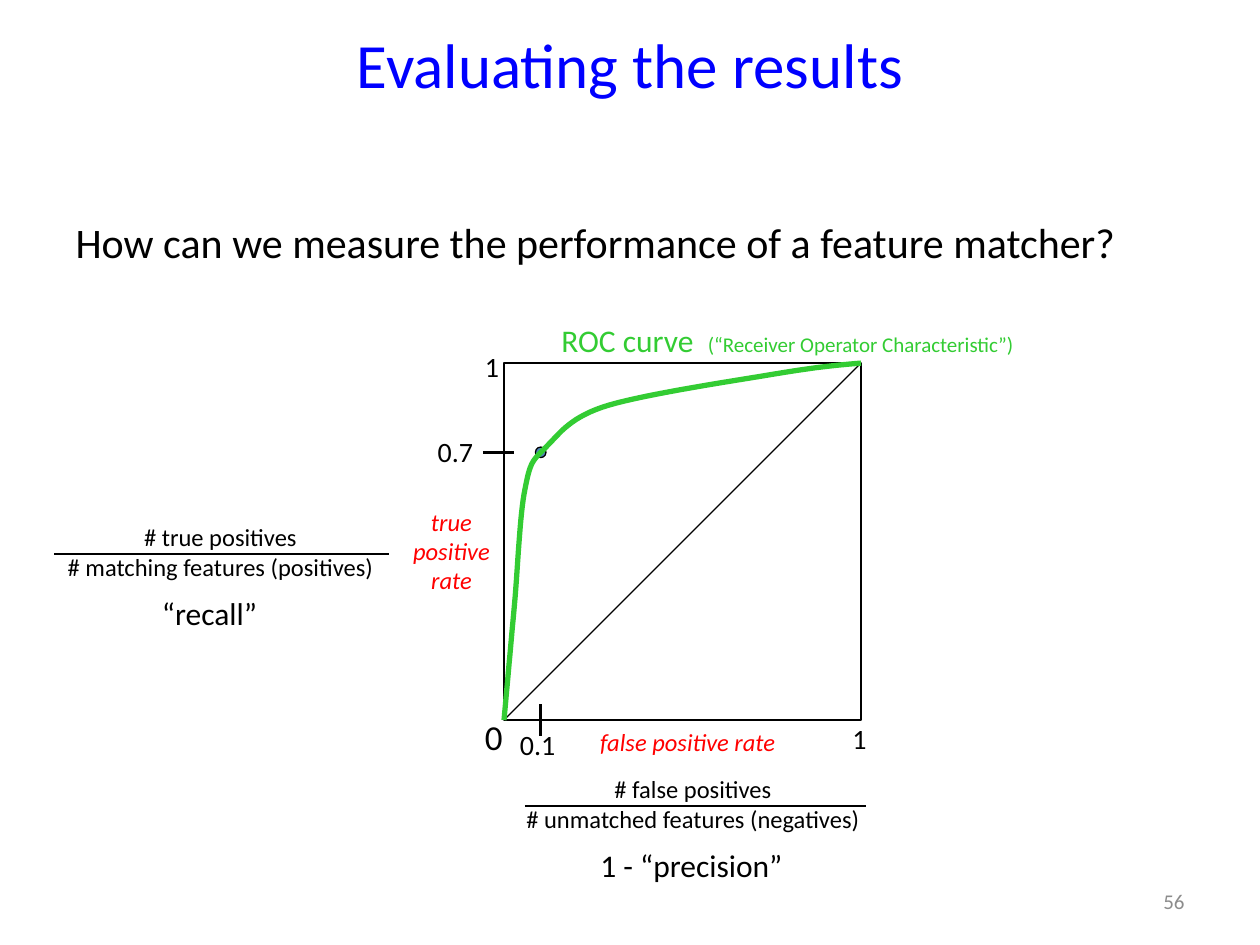
"""Build a slide that explains the ROC curve of a feature matcher."""
import pptx
import pptx.dml.color
import pptx.enum.shapes
import pptx.enum.text
import pptx.util
from pptx.oxml.xmlchemy import OxmlElement

Pt = pptx.util.Pt
ALIGN = pptx.enum.text.PP_ALIGN
ANCHOR = pptx.enum.text.MSO_ANCHOR
SHAPE = pptx.enum.shapes.MSO_SHAPE

COLORS = {"black": "000000", "title": "0000FF", "rate": "FF0000",
          "curve": "33CC33", "point": "4F81BD", "number": "8C8C8C"}
FONT = "Calibri"

TITLE = "Evaluating the results"
QUESTION = "How can we measure the performance of a feature matcher?"
PLOT_LEFT, PLOT_TOP, PLOT_SIDE = 288, 207.5, 204
PLOT_RIGHT, PLOT_BOTTOM = PLOT_LEFT + PLOT_SIDE, PLOT_TOP + PLOT_SIDE
POINT_X, POINT_Y, POINT_SIZE, TICK = 309, 258.5, 6, 18

CURVE_START = (PLOT_LEFT, PLOT_BOTTOM)
CURVE_SEGMENTS = [
    ((290, 390), (292, 367), (294, 345.5)),
    ((296, 323), (297, 294), (300, 279.5)),
    ((303, 264), (304, 263.5), (312, 255.5)),
    ((320, 247.5), (326, 238), (348, 231.5)),
    ((370, 225), (420, 217.5), (444, 213.5)),
    ((468, 209.5), (480, 208.5), (PLOT_RIGHT, PLOT_TOP)),
]
STEPS = 16

RATE = {"size": 14, "color": "rate", "italic": True, "align": ALIGN.CENTER}
LABELS = [
    (["0.7"], (243, 245, 60, 26.5), {"size": 16}),
    (["0"], (270, 405.5, 36, 31), {"size": 20}),
    (["1"], (480, 409, 24, 26.5), {"size": 16}),
    (["1"], (270, 196, 24, 26.5), {"size": 16}),
    (["0.1"], (290, 412, 60, 26.5), {"size": 16}),
    (["false positive rate"], (258, 412, 270, 24), RATE),
    (["true", "positive", "rate"], (210, 286, 96, 75), RATE),
    ([[("ROC curve  ", 18), ("(“Receiver Operator Characteristic”)", 12)]],
     (222, 180, 456, 36), {"color": "curve", "align": ALIGN.CENTER}),
    (["“recall”"], (85.5, 336, 69, 29), {"size": 18, "wrap": False}),
    (["1 - “precision”"], (336, 480, 120, 29), {"size": 18, "wrap": False}),
    (["56"], (516, 500.5, 168, 29),
     {"size": 12, "color": "number", "align": ALIGN.RIGHT, "anchor": ANCHOR.MIDDLE}),
]
FRACTIONS = [
    (["# true positives", "# matching features (positives)"], 12, 295, 31, 222.5),
    (["# false positives", "# unmatched features (negatives)"], 282, 439, 300, 495),
]


def rgb(name):
    return pptx.dml.color.RGBColor.from_string(COLORS[name])


def place(shape, box):
    shape.left, shape.top, shape.width, shape.height = map(Pt, box)


def write(shape, lines, size=14, color="black", italic=False, align=ALIGN.LEFT,
          anchor=ANCHOR.TOP, wrap=True):
    frame = shape.text_frame
    frame.auto_size = pptx.enum.text.MSO_AUTO_SIZE.NONE
    frame.word_wrap = wrap
    frame.vertical_anchor = anchor
    for index, line in enumerate(lines):
        paragraph = frame.add_paragraph() if index else frame.paragraphs[0]
        paragraph.alignment = align
        paragraph.space_before = Pt(0)
        for text, run_size in [(line, size)] if isinstance(line, str) else line:
            run = paragraph.add_run()
            run.text = text
            run.font.name = FONT
            run.font.size = Pt(run_size)
            run.font.italic = italic
            run.font.color.rgb = rgb(color)


def add_label(shapes, lines, box, **style):
    write(shapes.add_textbox(*map(Pt, box)), lines, **style)


def add_line(shapes, start, end, width=1.5):
    line = shapes.add_connector(pptx.enum.shapes.MSO_CONNECTOR.STRAIGHT,
                                *map(Pt, (*start, *end)))
    line.line.color.rgb = rgb("black")
    line.line.width = Pt(width)
    line._element.spPr.append(OxmlElement("a:effectLst"))


def outline(shape, color="black", width=0.75, fill=None):
    shape.shadow.inherit = False
    shape.line.color.rgb = rgb(color)
    shape.line.width = Pt(width)
    if fill:
        shape.fill.solid()
        shape.fill.fore_color.rgb = rgb(fill)
    else:
        shape.fill.background()


def curve_points():
    start = CURVE_START
    for first, second, end in CURVE_SEGMENTS:
        for step in range(1, STEPS + 1):
            t = step / STEPS
            u = 1 - t
            yield tuple(Pt(u**3 * a + 3 * u * u * t * b + 3 * u * t * t * c + t**3 * d)
                        for a, b, c, d in zip(start, first, second, end))
        start = end


def add_plot(shapes):
    outline(shapes.add_shape(SHAPE.RECTANGLE, Pt(PLOT_LEFT), Pt(PLOT_TOP),
                             Pt(PLOT_SIDE), Pt(PLOT_SIDE)))
    outline(shapes.add_shape(SHAPE.OVAL, Pt(POINT_X - POINT_SIZE / 2),
                             Pt(POINT_Y - POINT_SIZE / 2), Pt(POINT_SIZE), Pt(POINT_SIZE)),
            fill="point")
    half = TICK / 2
    add_line(shapes, (POINT_X, PLOT_BOTTOM - half), (POINT_X, PLOT_BOTTOM + half))
    add_line(shapes, (PLOT_LEFT - 12, POINT_Y), (PLOT_LEFT + 6, POINT_Y))
    add_line(shapes, (PLOT_LEFT, PLOT_BOTTOM), (PLOT_RIGHT, PLOT_TOP), 0.75)
    builder = shapes.build_freeform(*map(Pt, CURVE_START))
    builder.add_line_segments(list(curve_points()), close=False)
    outline(builder.convert_to_shape(), "curve", 3)


def main():
    presentation = pptx.Presentation()
    presentation.slide_width, presentation.slide_height = Pt(720), Pt(540)
    slide = presentation.slides.add_slide(presentation.slide_layouts[1])
    shapes = slide.shapes

    place(shapes.title, (36, 0, 648, 72))
    write(shapes.title, [TITLE], size=36, color="title", align=ALIGN.CENTER,
          anchor=ANCHOR.MIDDLE)
    body = slide.placeholders[1]
    place(body, (36, 120, 648, 54))
    properties = body.text_frame.paragraphs[0]._p.get_or_add_pPr()
    properties.set("marL", str(Pt(27)))
    properties.set("indent", str(-Pt(27)))
    properties.append(OxmlElement("a:buNone"))
    write(body, [QUESTION], size=24)

    add_plot(shapes)
    for lines, box, style in LABELS:
        add_label(shapes, lines, box, **style)
    for lines, left, top, bar_start, bar_end in FRACTIONS:
        group = shapes.add_group_shape()
        add_label(group.shapes, lines, (left, top, 228, 41), align=ALIGN.CENTER)
        add_line(group.shapes, (bar_start, top + 21.5), (bar_end, top + 21.5))

    presentation.save("out.pptx")


if __name__ == "__main__":
    main()
